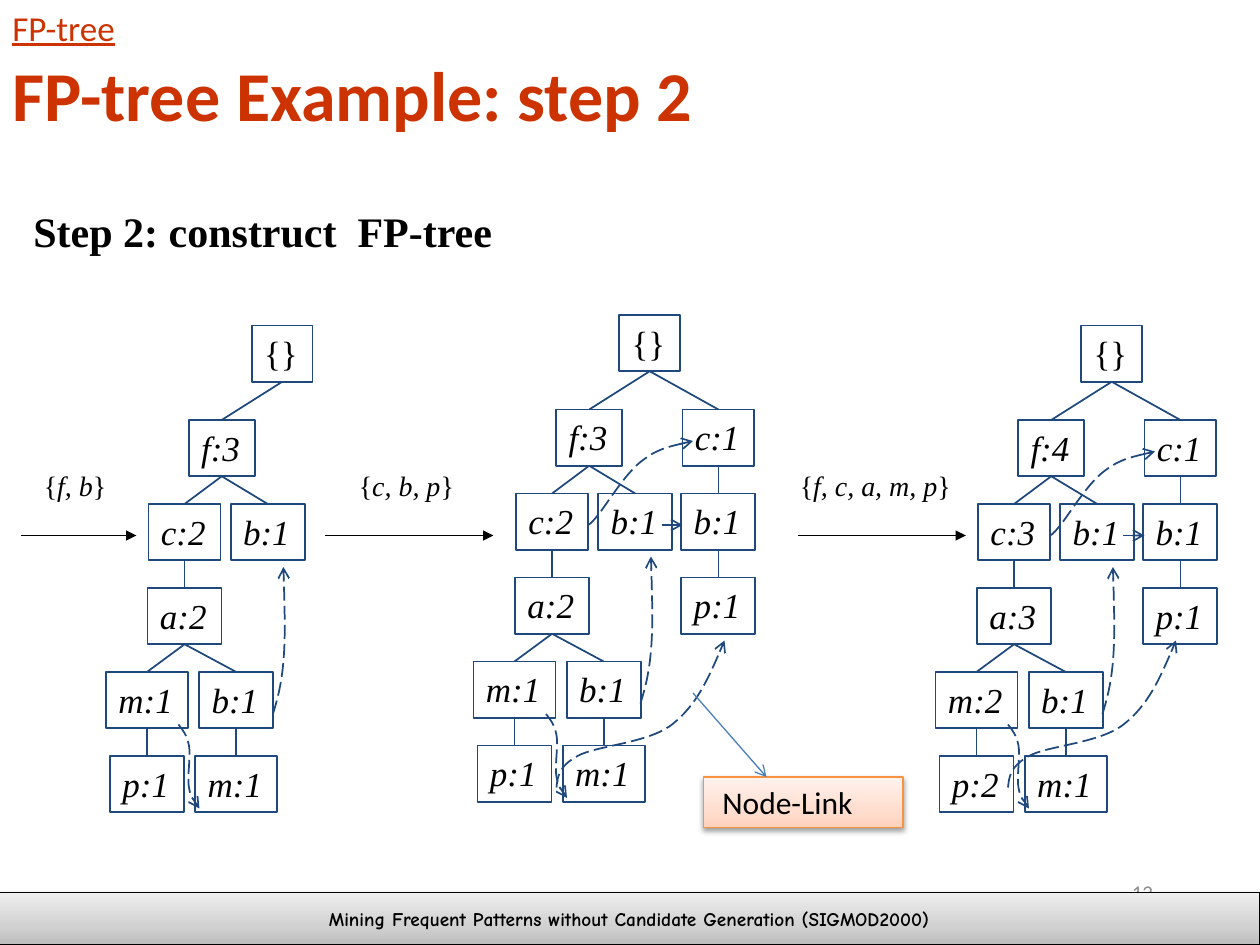
from dataclasses import dataclass
from typing import NamedTuple

from lxml.etree import SubElement
from pptx import Presentation
from pptx.dml.color import RGBColor
from pptx.enum.dml import MSO_LINE
from pptx.enum.shapes import MSO_CONNECTOR as CONN, MSO_SHAPE as SHAPE
from pptx.enum.text import MSO_ANCHOR as ANCHOR, MSO_AUTO_SIZE as AUTO, PP_ALIGN as ALIGN
from pptx.oxml.ns import qn
from pptx.util import Emu, Inches, Pt

UNIT = Inches(1) // 12  # the slide is 120 columns by 90 rows


@dataclass(frozen=True)
class Theme:
    sans: str = "Calibri"
    serif: str = "Times New Roman"
    hand: str = "Comic Neue"
    text: str = "000000"
    accent: str = "CC3300"
    muted: str = "8C8C8C"
    tree: str = "1F497D"
    pointer: str = "4B7EBC"
    callout_edge: str = "F69240"
    grey: tuple = ("BDBDBD", "D1D1D1", "EEEEEE")
    peach: tuple = ("FFD2BD", "FFDED0", "FFF2ED")
    title_pt: int = 40
    step_pt: int = 24
    node_pt: int = 20
    callout_pt: int = 18
    label_pt: int = 16
    number_pt: int = 12
    footer_pt: int = 11


class Node(NamedTuple):
    key: str  # the first letter is the item shown
    parent: str
    centre: float
    level: int


class Tree(NamedTuple):
    x: float
    y: float
    counts: dict
    split: bool  # has the second branch under the root
    p_link: tuple = ()


class Step(NamedTuple):
    items: str
    label_x: float
    label_w: float
    start: float
    end: float


T = Theme()
NODE_H = 5.36
NODE_W = {"{": 5.8, "f": 6.3, "c": 6.85, "a": 7.05, "b": 7.05, "p": 7.05, "m": 7.8}
MAIN = [Node("{}", "", 2.88, 0), Node("f", "{}", -2.88, 1), Node("c", "f", -6.42, 2),
        Node("b", "f", 1.5, 2), Node("a", "c", -6.42, 3), Node("m", "a", -10, 4),
        Node("b low", "a", -1.5, 4), Node("p", "m", -10, 5), Node("m low", "b low", -1.5, 5)]
BRANCH = [Node("c right", "{}", 9.42, 1), Node("b right", "c right", 9.42, 2),
          Node("p right", "b right", 9.42, 3)]
EARLY = {"f": 3, "c": 2, "a": 2}
TREES = [Tree(24, 31, EARLY, False), Tree(59, 30, EARLY, True, (-6, 45)),
         Tree(103, 31, {"f": 4, "c": 3, "a": 3, "m": 2, "p": 2}, True, (-7, 44))]
STEPS = [Step("f, b", 3, 8.4, 2, 13), Step("c, b, p", 33, 11.5, 31, 47),
         Step("f, c, a, m, p", 75, 16.8, 76, 92)]

# Bezier points of the node links, relative to where each link starts
B_CURVE = [(0, 0), (.4, -1.3), (.8, -2.7), (1, -5), (1.2, -7.3), (1.1, -10.7), (1, -14)]
M_CURVE = [(0, 0), (.4, .5), (.8, 1), (1, 2), (1.2, 3), (.8, 5), (1, 6),
           (1.2, 7), (1.6, 7.5), (2, 8)]
C_CURVE = [(0, 0), (0, 0), (.2, 0), (1, -1), (1.8, -2), (3.5, -4.8), (5, -6),
           (6.5, -7.2), (8.2, -7.6), (10, -8)]
P_CURVE = [(0, 0), (.1, -1), (.2, -2), (2, -3), (3.8, -4), (8.7, -4.2), (11, -6),
           (13.3, -7.8), (14.7, -10.9), (16, -14)]


def grid(*values: float) -> list:
    return [Emu(round(v * UNIT)) for v in values]


def write(sp, parts: list, font: str, size: int, color: str = T.text, bold: bool = False,
          align=ALIGN.LEFT, anchor=ANCHOR.TOP, wrap: bool = False, grow: bool = True) -> None:
    """Write one paragraph of (text, italic) parts."""
    tf = sp.text_frame
    tf.word_wrap = wrap
    tf.auto_size = AUTO.SHAPE_TO_FIT_TEXT if grow else AUTO.NONE
    tf.vertical_anchor = anchor
    p = tf.paragraphs[0]
    p.alignment = align
    p.font.name, p.font.size, p.font.bold = font, Pt(size), bold
    p.font.color.rgb = RGBColor.from_string(color)
    for text, italic in parts:
        r = p.add_run()
        r.text = text
        r.font.italic = italic


def text_box(slide, box: tuple, parts: list, font: str, size: int, **style):
    sp = slide.shapes.add_textbox(*grid(*box))
    write(sp, parts, font, size, **style)
    return sp


def stroke(sp, color: str, width: float, dashed: bool = False, head: str = "") -> None:
    sp.line.color.rgb = RGBColor.from_string(color)
    sp.line.width = Pt(width)
    if dashed:
        sp.line.dash_style = MSO_LINE.LONG_DASH
    if head:
        SubElement(sp._element.spPr.find(qn("a:ln")), qn("a:tailEnd"), type=head)


def rectangle(slide, box: tuple, color: str, width: float):
    sp = slide.shapes.add_shape(SHAPE.RECTANGLE, *grid(*box))
    sp.shadow.inherit = False
    sp.fill.background()
    stroke(sp, color, width)
    return sp


def shaded_bar(slide, box: tuple, edge: str, colors: tuple):
    """Rectangle with a three-stop upward gradient and a soft shadow."""
    sp = rectangle(slide, box, edge, 0.75)
    sp.fill.gradient()
    sp.fill.gradient_angle = 90
    stops = sp._element.spPr.find(".//" + qn("a:gsLst"))
    stops.clear()
    for pos, color in zip((0, 35000, 100000), colors):
        SubElement(SubElement(stops, qn("a:gs"), pos=str(pos)), qn("a:srgbClr"), val=color)
    shadow = SubElement(sp._element.spPr.find(qn("a:effectLst")), qn("a:outerShdw"),
                        blurRad="40000", dist="20000", dir="5400000", rotWithShape="0")
    SubElement(SubElement(shadow, qn("a:srgbClr"), val="000000"), qn("a:alpha"), val="38000")
    return sp


def line(slide, ends: tuple, color: str, width: float, **style) -> None:
    sp = slide.shapes.add_connector(CONN.STRAIGHT, *grid(*ends))
    stroke(sp, color, width, **style)
    SubElement(sp._element.spPr, qn("a:effectLst"))


def curve(slide, x: float, y: float, points: list) -> None:
    """Dashed arrow whose points after the first are taken in threes as Bezier segments."""
    first, *rest = [tuple(grid(x + dx, y + dy)) for dx, dy in points]
    builder = slide.shapes.build_freeform(*first)
    builder.add_line_segments(rest, close=False)
    sp = builder.convert_to_shape()
    segments = sp._element.spPr.findall(".//" + qn("a:lnTo"))
    outline = segments[0].getparent()
    for i in range(0, len(segments), 3):
        bezier = SubElement(outline, qn("a:cubicBezTo"))
        for segment in segments[i:i + 3]:
            bezier.append(segment[0])
            outline.remove(segment)
    sp.shadow.inherit = False
    sp.fill.background()
    stroke(sp, T.tree, 1, dashed=True, head="arrow")


def draw_tree(slide, tree: Tree) -> None:
    nodes = {n.key: n for n in MAIN + (BRANCH if tree.split else [])}

    def place(node: Node) -> tuple:
        return tree.x + node.centre, tree.y + (8 * node.level + 1 if node.level else 0)

    for node in nodes.values():
        x, y = place(node)
        width = NODE_W[node.key[0]]
        text = f"{node.key[0]}:{tree.counts.get(node.key, 1)}" if node.parent else node.key
        sp = rectangle(slide, (x - width / 2, y, width, NODE_H), T.tree, 1)
        write(sp, [(text, bool(node.parent))], T.serif, T.node_pt)
        if node.parent:
            px, py = place(nodes[node.parent])
            line(slide, (px, py + NODE_H, x, y), T.tree, 1)

    links = [(2, 37, B_CURVE), (-7, 38, M_CURVE)]
    if tree.split:
        links += [(-3, 20, C_CURVE), (*tree.p_link, P_CURVE)]
        y = tree.y + 20
        line(slide, (tree.x + 4, y, tree.x + 6, y), T.tree, 1, dashed=True, head="arrow")
    for dx, dy, points in links:
        curve(slide, tree.x + dx, tree.y + dy, points)


def main() -> None:
    prs = Presentation()
    prs.slide_width, prs.slide_height = grid(120, 90)
    slide = prs.slides.add_slide(prs.slide_layouts[5])

    text_box(slide, (86, 82, 25, 6), [("12", False)], T.sans, T.number_pt, color=T.muted,
             align=ALIGN.RIGHT, anchor=ANCHOR.MIDDLE, wrap=True, grow=False)
    footer = shaded_bar(slide, (-0.1, 85, 120.1, 5), T.text, T.grey)
    write(footer, [("Mining Frequent Patterns without Candidate Generation (SIGMOD2000)", False)],
          T.hand, T.footer_pt, bold=True, align=ALIGN.CENTER, anchor=ANCHOR.MIDDLE, grow=False)

    title = slide.shapes.title
    title.left, title.top, title.width, title.height = grid(0, 4, 117, 9.8)
    write(title, [("FP-tree Example: step 2", False)], T.sans, T.title_pt, color=T.accent,
          bold=True, anchor=ANCHOR.MIDDLE, wrap=True, grow=False)
    topic = text_box(slide, (0, 0, 13.6, 5.2), [("FP-tree", False)], T.sans, T.node_pt,
                     color=T.accent)
    topic.text_frame.paragraphs[0].runs[0].font.underline = True
    text_box(slide, (2, 19, 46.2, 6), [("Step 2: construct  FP-tree", False)],
             T.serif, T.step_pt, bold=True)

    for tree in TREES:
        draw_tree(slide, tree)
    for step in STEPS:
        text_box(slide, (step.label_x, 44, step.label_w, 4.4),
                 [("{", False), (step.items, True), ("}", False)], T.serif, T.label_pt)
        line(slide, (step.start, 51, step.end, 51), T.text, 0.75, head="triangle")

    callout = shaded_bar(slide, (67, 74, 19, 4.8), T.callout_edge, T.peach)
    write(callout, [("Node-Link", False)], T.sans, T.callout_pt, wrap=True)
    callout.text_frame.margin_left = Inches(0.15)
    line(slide, (66, 66, 73, 74), T.pointer, 0.75, head="arrow")

    prs.save("out.pptx")


if __name__ == "__main__":
    main()
